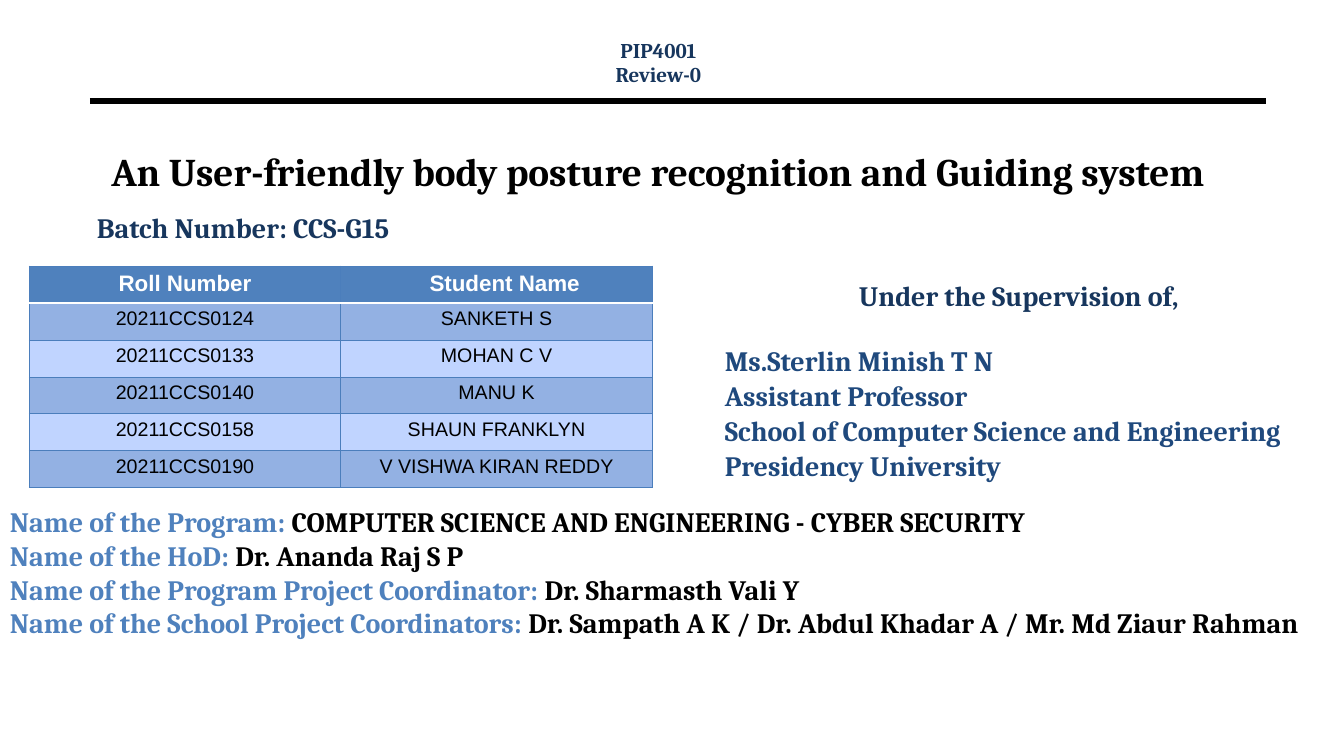
from lxml.etree import SubElement
from pptx import Presentation
from pptx.dml.color import RGBColor
from pptx.enum.shapes import MSO_CONNECTOR as CONN
from pptx.enum.text import MSO_ANCHOR as ANCHOR, MSO_AUTO_SIZE as AUTO, PP_ALIGN as ALIGN
from pptx.oxml import parse_xml
from pptx.oxml.ns import nsdecls, qn
from pptx.util import Inches, Pt

WIDTH, HEIGHT = Inches(13.33), Inches(7.5)
BLACK = RGBColor(0x00, 0x00, 0x00)
WHITE = RGBColor(0xFF, 0xFF, 0xFF)
NAVY = RGBColor(0x17, 0x36, 0x5D)
DEEP_BLUE = RGBColor(0x1F, 0x49, 0x7D)
BLUE = RGBColor(0x4F, 0x81, 0xBD)
BORDER = RGBColor(0x4B, 0x7E, 0xBC)
BAND_DARK = RGBColor(0x93, 0xB1, 0xE3)
BAND_LIGHT = RGBColor(0xC0, 0xD4, 0xFF)

STUDENTS = [
    ("Roll Number", "Student Name"),
    ("20211CCS0124", "SANKETH S"),
    ("20211CCS0133", "MOHAN C V"),
    ("20211CCS0140", "MANU K"),
    ("20211CCS0158", "SHAUN FRANKLYN"),
    ("20211CCS0190", "V VISHWA KIRAN REDDY"),
]
SUPERVISOR = ["Ms.Sterlin Minish T N", "Assistant Professor",
              "School of Computer Science and Engineering", "Presidency University"]
CONTACTS = [
    ("Name of the Program: ", "COMPUTER SCIENCE AND ENGINEERING - CYBER SECURITY"),
    ("Name of the HoD: ", "Dr. Ananda Raj S P"),
    ("Name of the Program Project Coordinator: ", "Dr. Sharmasth Vali Y"),
    ("Name of the School Project Coordinators: ",
     "Dr. Sampath A K / Dr. Abdul Khadar A / Mr. Md Ziaur Rahman"),
]


def across(share):
    return int(WIDTH * share / 100)


def down(share):
    return int(HEIGHT * share / 100)


def area(x, y, w, h):
    return across(x), down(y), across(w), down(h)


def add_run(p, text, size=20, color=NAVY, font="Cambria", bold=True):
    r = p.add_run()
    r.text = text
    r.font.size, r.font.name, r.font.bold = Pt(size), font, bold
    r.font.color.rgb = color


def write(tf, runs, align=ALIGN.LEFT, spacing=1.0, before=0, **style):
    """Add a paragraph of (text, color) runs, using the empty first paragraph if there is one."""
    p = tf.paragraphs[0]
    if p.runs:
        p = tf.add_paragraph()
    p.alignment, p.line_spacing, p.space_before = align, spacing, Pt(before)
    for text, color in runs:
        add_run(p, text, color=color, **style)


def prepare(sp, anchor=ANCHOR.TOP):
    tf = sp.text_frame
    tf.word_wrap, tf.auto_size, tf.vertical_anchor = True, AUTO.NONE, anchor
    return tf


def add_text(s, *box):
    return prepare(s.shapes.add_textbox(*area(*box)))


def place(sp, *box, anchor=ANCHOR.TOP):
    sp.left, sp.top, sp.width, sp.height = area(*box)
    return prepare(sp, anchor)


def add_rule(s, x1, x2, y):
    line = s.shapes.add_connector(CONN.STRAIGHT, across(x1), down(y), across(x2), down(y))
    line.line.color.rgb, line.line.width = BLACK, Pt(4.5)
    SubElement(line._element.spPr, qn("a:effectLst"))


def set_borders(cell, **special):
    """Draw the four cell borders, with (color, points) for any special side."""
    tc_pr = cell._tc.get_or_add_tcPr()
    for i, side in enumerate("LRTB"):
        color, points = special.get(side, (BORDER, 0.75))
        tc_pr.insert(i, parse_xml(
            f'<a:ln{side} {nsdecls("a")} w="{Pt(points)}"><a:solidFill>'
            f'<a:srgbClr val="{color}"/></a:solidFill></a:ln{side}>'))


def add_students(s, *box):
    table = s.shapes.add_table(len(STUDENTS), len(STUDENTS[0]), *area(*box)).table
    divider = (WHITE, 2)
    for i, row in enumerate(STUDENTS):
        header = i == 0
        fill = BLUE if header else BAND_DARK if i % 2 else BAND_LIGHT
        special = {0: {"B": divider}, 1: {"T": divider}}.get(i, {})
        for j, text in enumerate(row):
            cell = table.cell(i, j)
            cell.fill.solid()
            cell.fill.fore_color.rgb = fill
            set_borders(cell, **special)
            write(cell.text_frame, [(text, WHITE if header else BLACK)], ALIGN.CENTER,
                  size=16 if header else 14, font="Arial", bold=header)
    table.cell(0, 1).margin_left = Inches(0.26)


def main():
    prs = Presentation()
    prs.slide_width, prs.slide_height = WIDTH, HEIGHT
    s = prs.slides.add_slide(prs.slide_layouts[0])
    title, batch = s.placeholders

    add_rule(s, 6.68, 94.22, 13.33)
    write(place(title, 6.45, 15.6, 85, 14, anchor=ANCHOR.MIDDLE),
          [("An User-friendly body posture recognition and Guiding system", BLACK)],
          ALIGN.CENTER, size=28)
    write(place(batch, 6.45, 27.2, 32.56, 8), [("Batch Number: CCS-G15", NAVY)])

    supervision = add_text(s, 53.19, 36.67, 45.24, 29.47)
    write(supervision, [("Under the Supervision of,", NAVY)], ALIGN.CENTER, 0.9)
    for i, line in enumerate(SUPERVISOR):
        write(supervision, [(line, DEEP_BLUE)], spacing=0.9, before=3.4 if i else 25)

    review = add_text(s, 32.71, 4.93, 32.56, 8)
    for line, before in (("PIP4001", 0), ("Review-0", 3.1)):
        write(review, [(line, NAVY)], ALIGN.CENTER, 0.8, before, size=15)

    contacts = add_text(s, 0, 66.13, 100, 22.8)
    for label, name in CONTACTS:
        write(contacts, [(label, BLUE), (name, BLACK)])

    add_students(s, 2.18, 35.2, 46.36, 29.33)
    prs.save("out.pptx")


if __name__ == "__main__":
    main()
